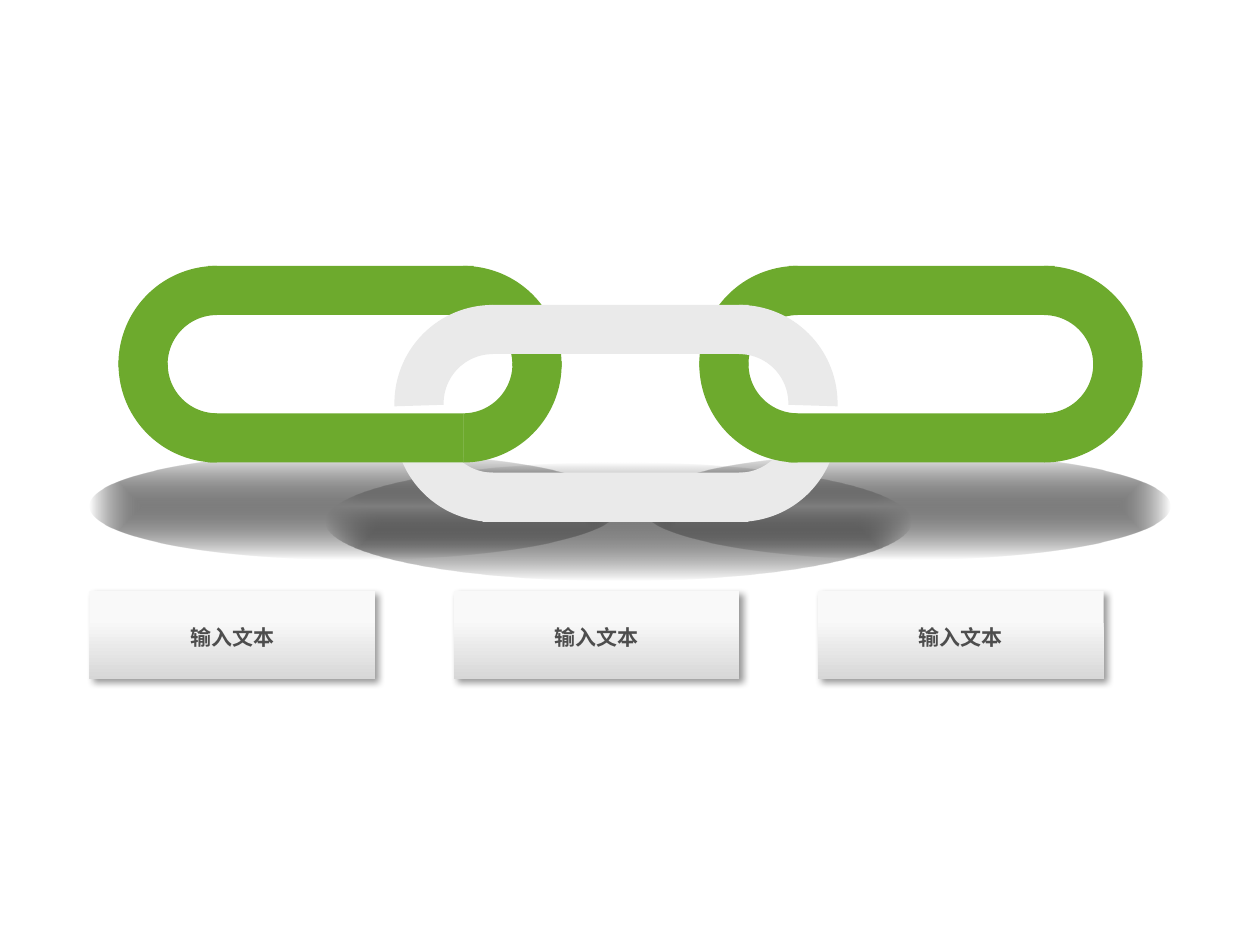
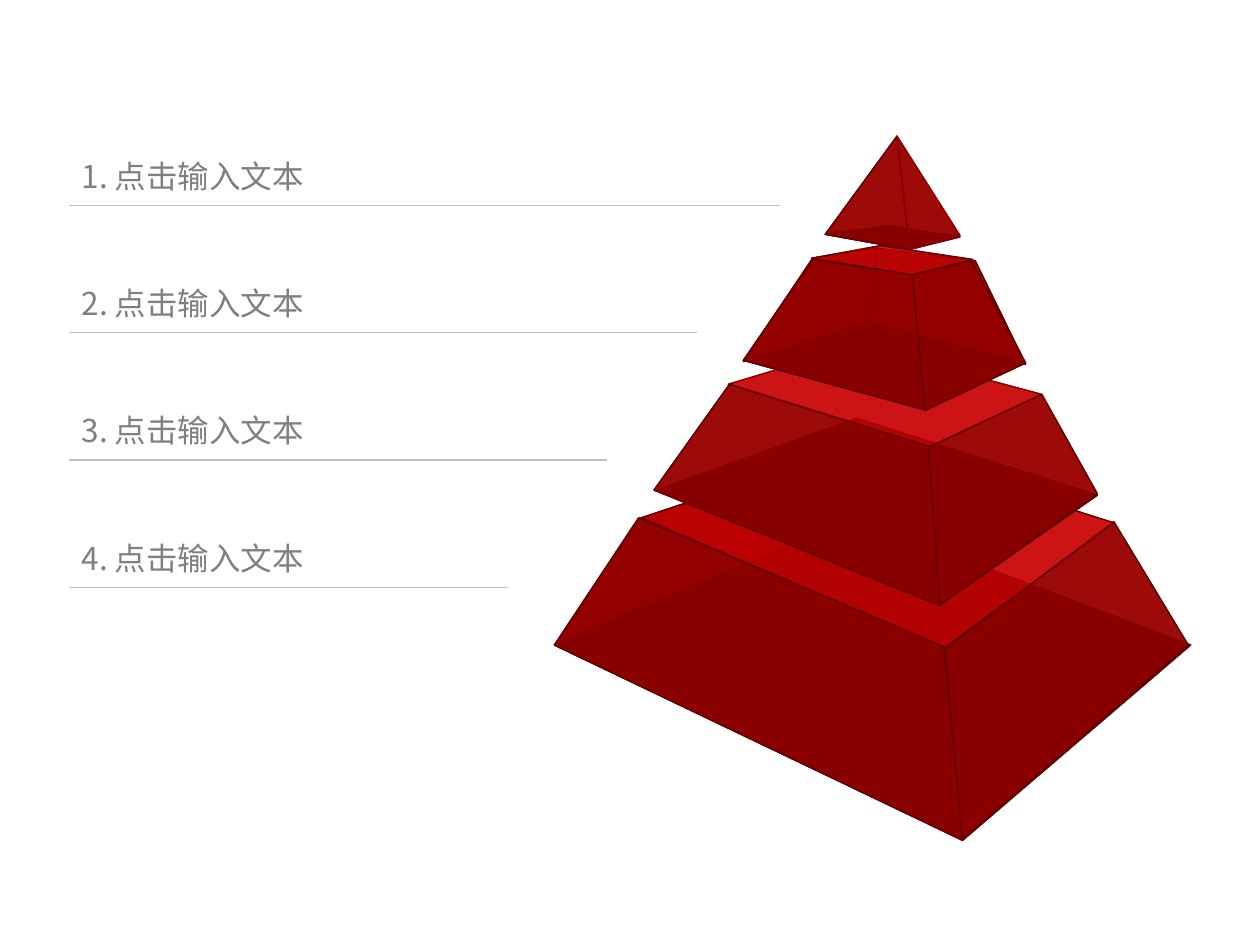
from lxml import etree
from pptx import Presentation
from pptx.dml.color import RGBColor
from pptx.enum.shapes import MSO_CONNECTOR, MSO_SHAPE
from pptx.enum.text import MSO_ANCHOR, MSO_AUTO_SIZE, PP_ALIGN
from pptx.oxml.ns import qn
from pptx.util import Pt

RECTANGLE, OVAL, BLOCK_ARC = MSO_SHAPE.RECTANGLE, MSO_SHAPE.OVAL, MSO_SHAPE.BLOCK_ARC
STRAIGHT = MSO_CONNECTOR.STRAIGHT
LEFT, CENTER = PP_ALIGN.LEFT, PP_ALIGN.CENTER
MIDDLE, TOP = MSO_ANCHOR.MIDDLE, MSO_ANCHOR.TOP

FONT = "Noto Sans CJK SC"
COLORS = {
    "green": "6DAA2D", "silver": "EAEAEA", "shade": "7F7F7F", "black": "000000",
    "card_light": "F9F9F9", "card_dark": "D7D7D7", "card_text": "4D4D4D",
    "list_text": "7F7F7F", "rule": "BFBFBF",
    "maroon": "600000", "dark_red": "900000", "red": "C00000",
    "coral": "FF4040", "pink": "FF8080",
}

# Chain slide
CARD_LABELS = ["输入文本", "输入文本", "输入文本"]
CARD_LEFT, CARD_TOP, CARD_STEP, CARD_WIDTH, CARD_HEIGHT = 51.1, 337.7, 208.1, 163.4, 50.4
GROUND_SHADOWS = [  # left, top, width, height
    (185.8, 264.2, 334.8, 67.7),
    (51.1, 258.5, 303.1, 61.2),
    (365.8, 258.5, 303.1, 61.2),
]
ARC_SIZE, ARC_STEP, BAND = 112.4, 140.8, 28.1
HALF_LINKS = [  # colour, half, left, top, bar offset, bar width
    ("silver", "bottom", 225.4, 185.8, 50.4, 151.9),
    ("green", "top", 67.7, 151.9, 51.1, 151.9),
    ("green", "top", 399.6, 151.9, 51.1, 151.9),
    ("green", "bottom", 67.7, 151.9, 51.1, 146.2),
    ("green", "bottom", 399.6, 151.9, 51.1, 146.2),
    ("silver", "top", 225.4, 174.2, 56.2, 146.2),
]
ARC_TURNS = {  # half: (rotation, flipped) of the left and right arcs
    "top": ((270, False), (90, True)),
    "bottom": ((270, True), (90, False)),
}

# Pyramid slide
LIST_ITEMS = [  # text, right end of the rule
    ("1. 点击输入文本", 445.7),
    ("2. 点击输入文本", 398.2),
    ("3. 点击输入文本", 347),
    ("4. 点击输入文本", 290.2),
]
LIST_LEFT, LIST_TOP, LIST_STEP = 39.6, 117.4, 72.72
FACE_STYLES = {  # inner fill, outer fill, outer edge
    "base": ("dark_red", "maroon", "maroon"),
    "side": ("red", "dark_red", "maroon"),
    "top": ("coral", "red", "maroon"),
    "soft_top": ("coral", "red", "dark_red"),
    "pale_top": ("pink", "red", "maroon"),
    "tip_base": ("red", "maroon", "maroon"),
    "tip_side": ("red", "dark_red", "dark_red"),
}
TIERS = [
    [
        ("base", [(488.2, 295.9), (680.4, 368.6), (550.1, 480.2), (316.8, 368.6)]),
        ("side", [(540, 370.8), (636.5, 298.1), (679, 368.6), (549.4, 480.2)]),
        ("side", [(365, 296.6), (495.4, 252.7), (489.6, 296.6), (318.2, 367.2)]),
        ("top", [(493.9, 253.4), (636.5, 298.8), (540, 370.1), (366.5, 295.9)]),
        ("side", [(365, 295.9), (539.3, 369.4), (550.1, 480.2), (316.8, 368.6)]),
    ],
    [
        ("base", [(489.6, 239), (627.1, 283), (537.1, 345.6), (375.1, 280.1)]),
        ("soft_top", [(490.3, 197.3), (595.4, 225.4), (530.6, 255.6), (416.2, 219.6)]),
        ("side", [(416.9, 219.6), (530.6, 254.9), (537.8, 346.3), (373.7, 280.1)]),
        ("side", [(530.6, 255.6), (595.4, 225.4), (627.1, 282.2), (537.1, 345.6)]),
    ],
    [
        ("side", [(501.1, 141.8), (557.3, 149), (586.1, 208.1), (496.8, 185)]),
        ("base", [(495.4, 184.3), (586.1, 207.4), (527.8, 234), (424.8, 205.9)]),
        ("side", [(521.3, 157), (555.1, 149), (586.1, 207.4), (528.5, 234.7)]),
        ("side", [(464.4, 147.6), (501.1, 141.8), (497.5, 185), (424.8, 206.6)]),
        ("side", [(464.4, 148.3), (521.3, 157), (528.5, 234), (424.8, 205.9)]),
        ("pale_top", [(503.3, 140.4), (555.8, 148.3), (521.3, 157), (463.7, 147.6)]),
    ],
    [
        ("tip_base", [(507.6, 128.9), (548.6, 135.4), (519.8, 142.6), (471.6, 133.9)]),
        ("side", [(512.6, 77.8), (519.8, 142.6), (471.6, 133.9)]),
        ("tip_side", [(512.6, 77.8), (548.6, 134.6), (519.8, 142.6)]),
    ],
]


def rgb(name):
    return RGBColor.from_string(COLORS[name])


def add_alpha(color_element, percent):
    etree.SubElement(color_element, qn("a:alpha"), val=str(percent * 1000))


def write_text(shape, text, *, size, color, bold=False, align=LEFT, anchor=TOP, spacing=None):
    frame = shape.text_frame
    frame.word_wrap = True
    frame.vertical_anchor = anchor
    paragraph = frame.paragraphs[0]
    paragraph.alignment = align
    paragraph.line_spacing = spacing
    run = paragraph.add_run()
    run.text = text
    run.font.size = Pt(size)
    run.font.bold = bold
    run.font.name = FONT
    run.font.color.rgb = rgb(color)
    etree.SubElement(run.font._element, qn("a:ea"), typeface=FONT)


def add_plain_shape(shapes, kind, left, top, width, height, color=None):
    shape = shapes.add_shape(kind, Pt(left), Pt(top), Pt(width), Pt(height))
    shape.shadow.inherit = False
    shape.line.fill.background()
    if color:
        shape.fill.solid()
        shape.fill.fore_color.rgb = rgb(color)
    return shape


def fill_gradient(shape, *stops):
    """Fill from the top down with two (position, colour) stops."""
    shape.fill.gradient()
    shape.fill.gradient_angle = 270
    for stop, (position, color) in zip(shape.fill.gradient_stops, stops):
        stop.position = position
        stop.color.rgb = rgb(color)


def add_ground_shadow(slide, left, top, width, height):
    ellipse = add_plain_shape(slide.shapes, OVAL, left, top, width, height)
    fill_gradient(ellipse, (0, "shade"), (1, "black"))
    gradient = ellipse.element.spPr.find(qn("a:gradFill"))
    add_alpha(gradient.findall(".//" + qn("a:srgbClr"))[-1], 0)
    gradient.remove(gradient.find(qn("a:lin")))
    radial = etree.SubElement(gradient, qn("a:path"), path="shape")
    etree.SubElement(radial, qn("a:fillToRect"), l="50000", t="50000", r="50000", b="50000")


def add_half_link(slide, color, half, left, top, bar_offset, bar_width):
    shapes = slide.shapes.add_group_shape().shapes
    bar_top = top if half == "top" else top + ARC_SIZE - BAND
    add_plain_shape(shapes, RECTANGLE, left + bar_offset, bar_top, bar_width, BAND, color)
    for index, (rotation, flipped) in enumerate(ARC_TURNS[half]):
        arc = add_plain_shape(shapes, BLOCK_ARC, left + index * ARC_STEP, top,
                              ARC_SIZE, ARC_SIZE, color)
        for number, value in enumerate((160.93, 0, 0.25)):
            arc.adjustments[number] = value
        arc.rotation = rotation
        if flipped:
            arc.element.spPr.find(qn("a:xfrm")).set("flipH", "1")


def add_card(slide, left, label):
    card = add_plain_shape(slide.shapes, RECTANGLE, left, CARD_TOP, CARD_WIDTH, CARD_HEIGHT)
    fill_gradient(card, (0.33, "card_light"), (1, "card_dark"))
    shadow = etree.SubElement(card.element.spPr.find(qn("a:effectLst")), qn("a:outerShdw"),
                              blurRad=str(Pt(4)), dist=str(Pt(3)), dir="2700000",
                              algn="tl", rotWithShape="0")
    add_alpha(etree.SubElement(shadow, qn("a:srgbClr"), val=COLORS["black"]), 40)
    write_text(card, label, size=12, color="card_text", bold=True,
               align=CENTER, anchor=MIDDLE, spacing=1.2)


def add_list_item(slide, rule_top, rule_end, text):
    rule = slide.shapes.add_connector(STRAIGHT, Pt(LIST_LEFT), Pt(rule_top),
                                      Pt(rule_end), Pt(rule_top))
    rule.line.color.rgb = rgb("rule")
    rule.line.width = Pt(0.75)
    etree.SubElement(rule.element.spPr, qn("a:effectLst"))
    box = slide.shapes.add_textbox(Pt(LIST_LEFT), Pt(rule_top - 31.3),
                                   Pt(rule_end + 3.8 - LIST_LEFT), Pt(29))
    write_text(box, text, size=18, color="list_text")
    box.text_frame.auto_size = MSO_AUTO_SIZE.SHAPE_TO_FIT_TEXT


def add_face(shapes, points, fill, edge):
    (start_x, start_y), *others = points
    builder = shapes.build_freeform(Pt(start_x), Pt(start_y))
    builder.add_line_segments([(Pt(x), Pt(y)) for x, y in others], close=True)
    face = builder.convert_to_shape()
    face.shadow.inherit = False
    face.fill.solid()
    face.fill.fore_color.rgb = rgb(fill)
    add_alpha(face.element.spPr.find(qn("a:solidFill"))[0], 80)
    face.line.color.rgb = rgb(edge)
    face.line.width = Pt(0.75)


def add_tier(slide, faces):
    """Draw the faces twice, a bright inner layer below a dark outer one."""
    for layer in ("inner", "outer"):
        shapes = slide.shapes.add_group_shape().shapes
        for style, points in faces:
            inner_fill, outer_fill, outer_edge = FACE_STYLES[style]
            if layer == "inner":
                add_face(shapes, points, inner_fill, "dark_red")
            else:
                add_face(shapes, points, outer_fill, outer_edge)


def build_chain_slide(slide):
    for bounds in GROUND_SHADOWS:
        add_ground_shadow(slide, *bounds)
    for half_link in HALF_LINKS:
        add_half_link(slide, *half_link)
    for index, label in enumerate(CARD_LABELS):
        add_card(slide, CARD_LEFT + index * CARD_STEP, label)


def build_pyramid_slide(slide):
    for index, (text, rule_end) in enumerate(LIST_ITEMS):
        add_list_item(slide, LIST_TOP + index * LIST_STEP, rule_end, text)
    for faces in TIERS:
        add_tier(slide, faces)


def main():
    presentation = Presentation()
    presentation.slide_width, presentation.slide_height = Pt(720), Pt(540)
    blank_layout = presentation.slide_layouts[6]
    for build in (build_chain_slide, build_pyramid_slide):
        build(presentation.slides.add_slide(blank_layout))
    presentation.save("out.pptx")


if __name__ == "__main__":
    main()
